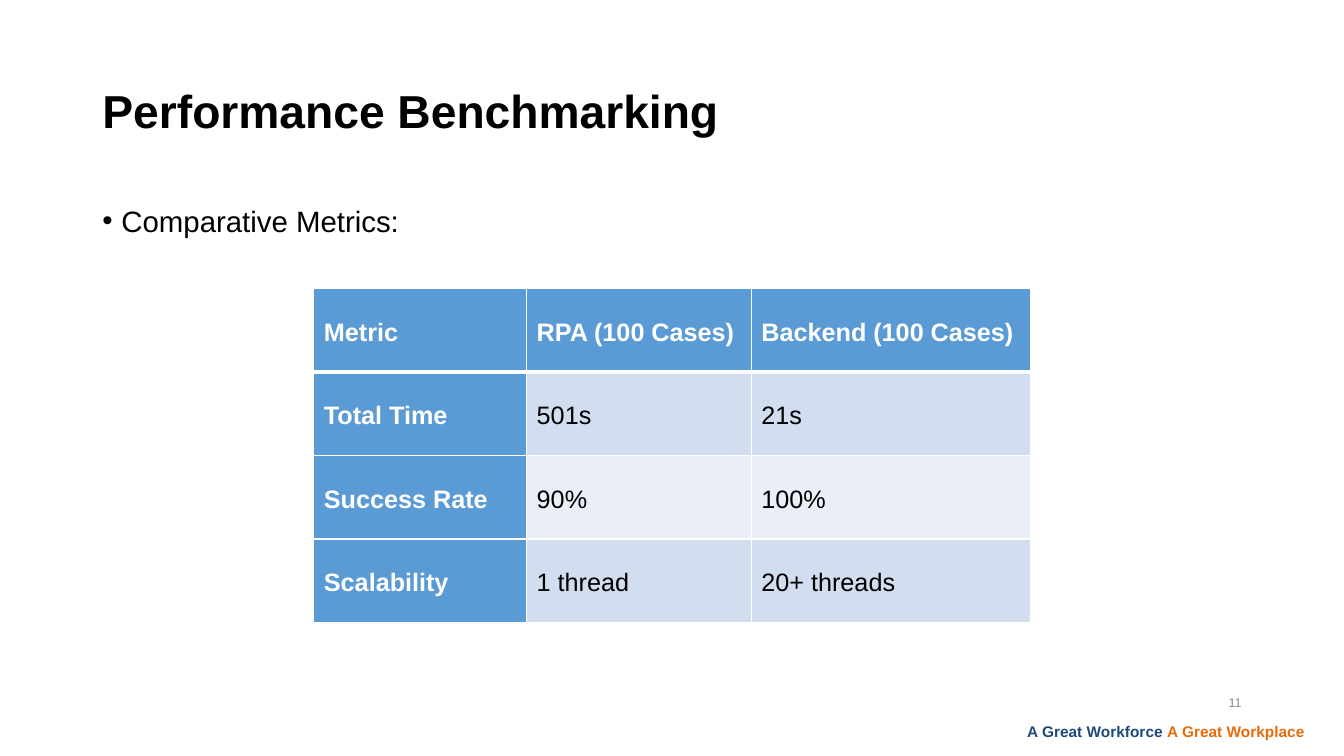
from lxml.etree import SubElement
from pptx import Presentation
from pptx.dml.color import RGBColor
from pptx.enum.text import MSO_ANCHOR, MSO_AUTO_SIZE, PP_ALIGN
from pptx.oxml import parse_xml
from pptx.oxml.ns import nsdecls, qn
from pptx.util import Pt

BLACK = RGBColor(0x00, 0x00, 0x00)
WHITE = RGBColor(0xFF, 0xFF, 0xFF)
HEADER_BLUE = RGBColor(0x5B, 0x9B, 0xD5)
BAND_DARK = RGBColor(0xD2, 0xDE, 0xEF)
BAND_LIGHT = RGBColor(0xEA, 0xEF, 0xF7)
NUMBER_GREY = RGBColor(0x8C, 0x8C, 0x8C)
MOTTO_NAVY = RGBColor(0x1F, 0x49, 0x7D)
MOTTO_ORANGE = RGBColor(0xE4, 0x6C, 0x0A)

METRICS = [
    ["Metric", "RPA (100 Cases)", "Backend (100 Cases)"],
    ["Total Time", "501s", "21s"],
    ["Success Rate", "90%", "100%"],
    ["Scalability", "1 thread", "20+ threads"],
]
COLUMN_WIDTHS = [152, 160.5, 199.5]
ROW_HEIGHT = 59.6


def place(shape, left, top, width, height, anchor):
    """Position a text shape and return its first paragraph."""
    shape.left, shape.top = Pt(left), Pt(top)
    shape.width, shape.height = Pt(width), Pt(height)
    frame = shape.text_frame
    frame.word_wrap = True
    frame.auto_size = MSO_AUTO_SIZE.NONE
    frame.vertical_anchor = anchor
    return frame.paragraphs[0]


def style(font, size, color, bold=False):
    font.name = "Arial"
    font.size = Pt(size)
    font.bold = bold
    font.color.rgb = color


prs = Presentation()
prs.slide_width, prs.slide_height = Pt(960), Pt(540)
slide = prs.slides.add_slide(prs.slide_layouts[1])

# Motto in the bottom corner
motto = place(slide.shapes.add_textbox(0, 0, 0, 0), 630.5, 512, 308.5, 28, MSO_ANCHOR.TOP)
motto.alignment = PP_ALIGN.RIGHT
for words, color in [("A Great Workforce ", MOTTO_NAVY), ("A Great Workplace", MOTTO_ORANGE)]:
    run = motto.add_run()
    run.text = words
    style(run.font, 11, color, bold=True)

# Title and lead-in bullet
title = place(slide.shapes.title, 66, 28.8, 828, 104.4, MSO_ANCHOR.MIDDLE)
title.text = "Performance Benchmarking"
title.alignment = PP_ALIGN.LEFT
title.line_spacing = 0.9
style(title.font, 33, BLACK, bold=True)

lead_in = place(slide.placeholders[1], 66, 144, 828, 342.7, MSO_ANCHOR.TOP)
lead_in.text = "Comparative Metrics:"
lead_in.line_spacing = 0.9
lead_in.space_before = Pt(7.5)
style(lead_in.font, 21, BLACK)
bullet_props = lead_in._p.get_or_add_pPr()
bullet_props.set("marL", str(Pt(13.5)))
bullet_props.set("indent", str(-Pt(13.5)))
bullet = parse_xml(f'<a:buChar {nsdecls("a")} char="•"/>')
bullet_props.insert_element_before(bullet, "a:tabLst", "a:defRPr", "a:extLst")

# Comparison table
metrics_table = slide.shapes.add_table(
    len(METRICS), len(COLUMN_WIDTHS), Pt(224.2), Pt(206.2),
    Pt(sum(COLUMN_WIDTHS)), Pt(ROW_HEIGHT * len(METRICS))).table
for column, width in zip(metrics_table.columns, COLUMN_WIDTHS):
    column.width = Pt(width)

for r, values in enumerate(METRICS):
    metrics_table.rows[r].height = Pt(ROW_HEIGHT)
    for c, value in enumerate(values):
        is_heading = r == 0 or c == 0
        band = BAND_DARK if r % 2 else BAND_LIGHT
        cell = metrics_table.cell(r, c)
        cell.text = value
        cell.vertical_anchor = MSO_ANCHOR.MIDDLE
        paragraph = cell.text_frame.paragraphs[0]
        paragraph.line_spacing = 1.15
        paragraph.space_after = Pt(8)
        style(paragraph.font, 18, WHITE if is_heading else BLACK, bold=is_heading)

        # Borders come before the fill in the cell properties
        cell_props = cell._tc.get_or_add_tcPr()
        for side in ("L", "R", "T", "B"):
            under_header = (r, side) in [(0, "B"), (1, "T")]
            border = SubElement(cell_props, qn(f"a:ln{side}"), w=str(Pt(3 if under_header else 1)))
            border_fill = SubElement(border, qn("a:solidFill"))
            SubElement(border_fill, qn("a:srgbClr"), val=str(WHITE))
        cell.fill.solid()
        cell.fill.fore_color.rgb = HEADER_BLUE if is_heading else band

# Slide number
page_number = place(slide.shapes.add_textbox(0, 0, 0, 0), 807, 487.5, 87, 28.8, MSO_ANCHOR.MIDDLE)
page_number.text = "11"
page_number.alignment = PP_ALIGN.RIGHT
style(page_number.font, 9, NUMBER_GREY)

prs.save("out.pptx")
